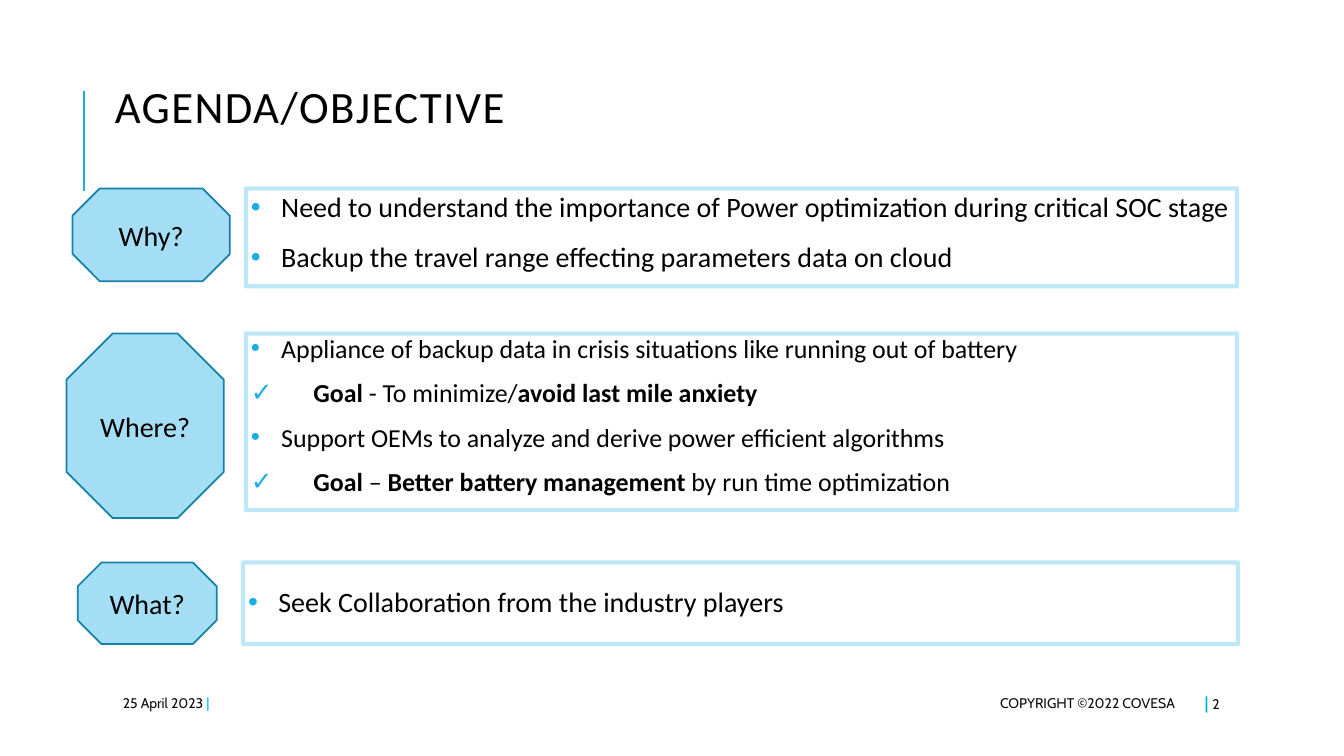
from lxml import etree
from pptx import Presentation
from pptx.dml.color import RGBColor
from pptx.enum.shapes import MSO_CONNECTOR, MSO_SHAPE
from pptx.enum.text import MSO_ANCHOR, PP_ALIGN
from pptx.oxml.ns import qn
from pptx.util import Inches, Pt

RECT, OCTAGON = MSO_SHAPE.RECTANGLE, MSO_SHAPE.OCTAGON
STRAIGHT = MSO_CONNECTOR.STRAIGHT
TOP, MIDDLE = MSO_ANCHOR.TOP, MSO_ANCHOR.MIDDLE
LEFT, CENTER, RIGHT = PP_ALIGN.LEFT, PP_ALIGN.CENTER, PP_ALIGN.RIGHT
W, H = Inches(13.33), Inches(7.5)
ACCENT, BLACK, INK = "1CADE4", "000000", "0D0D0D"


def rgb(value):
    """Turn a hex string into a colour."""
    return RGBColor.from_string(value)


def place(x, y, w, h):
    """Turn percentages of the slide into lengths."""
    return (int(W * x / 100), int(H * y / 100),
            int(W * w / 100), int(H * h / 100))


def add_run(p, text, size=20, font="Calibri", color=BLACK, bold=False, spc=0):
    """Append a formatted run to a paragraph."""
    r = p.add_run()
    r.text = text
    r.font.size, r.font.name, r.font.bold = Pt(size), font, bold
    r.font.color.rgb = rgb(color)
    if spc:
        r.font._element.set("spc", str(spc * 100))


def set_frame(tf, anchor=MIDDLE, inset=0.1):
    """Set wrapping, anchor and margins of a text frame."""
    tf.word_wrap, tf.vertical_anchor = True, anchor
    tf.margin_left = tf.margin_right = Inches(inset)
    tf.margin_top = tf.margin_bottom = Inches(0.05)


def add_label(s, box, align=LEFT):
    """Add a text box and return its paragraph."""
    tf = s.shapes.add_textbox(*place(*box)).text_frame
    set_frame(tf)
    p = tf.paragraphs[0]
    p.alignment = align
    return p


def add_outline(s, kind, box, color, width):
    """Add an unfilled, outlined shape without shadow."""
    sp = s.shapes.add_shape(kind, *place(*box))
    sp.shadow.inherit = False
    sp.fill.background()
    sp.line.color.rgb, sp.line.width = rgb(color), Pt(width)
    return sp


def set_bullet(p, char, indent):
    """Give a paragraph a hanging accent-coloured bullet."""
    pPr = p._p.get_or_add_pPr()
    pPr.set("marL", str(Inches(indent)))
    pPr.set("indent", str(-Inches(indent)))
    color = etree.SubElement(pPr, qn("a:buClr"))
    etree.SubElement(color, qn("a:srgbClr"), val=ACCENT)
    etree.SubElement(pPr, qn("a:buFont"), typeface="Arial")
    etree.SubElement(pPr, qn("a:buChar"), char=char)


def title(s, box):
    """Draw the heading with the accent rule at its left."""
    x, y, w, h = box
    left, top, _, height = place(x - 1.57, y + 3.87, 0, 13.33)
    rule = s.shapes.add_connector(STRAIGHT, left, top + height, left, top)
    rule.line.color.rgb, rule.line.width = rgb(ACCENT), Pt(1.5)
    etree.SubElement(rule._element.spPr, qn("a:effectLst"))
    p = add_label(s, box)
    p.line_spacing = 0.8
    add_run(p, "AGENDA/OBJECTIVE", size=32, spc=1)


def badge(s, box, text):
    """Draw an octagon holding the question of a row."""
    sp = add_outline(s, OCTAGON, box, "1580A9", 1.25)
    sp.fill.solid()
    sp.fill.fore_color.rgb = rgb("A4DEF4")
    set_frame(sp.text_frame)
    p = sp.text_frame.paragraphs[0]
    p.alignment = CENTER
    add_run(p, text)


def panel(s, box, items, size, spacing, anchor):
    """Draw a pale frame with bulleted answers."""
    sp = add_outline(s, RECT, box, ACCENT, 3)
    for clr in sp.line._ln.iter(qn("a:srgbClr")):
        etree.SubElement(clr, qn("a:alpha"), val="27000")
    tf = sp.text_frame
    set_frame(tf, anchor, 0.05)
    for i, (char, indent, runs) in enumerate(items):
        p = tf.add_paragraph() if i else tf.paragraphs[0]
        p.alignment, p.line_spacing = LEFT, spacing
        p.space_before, p.space_after = Pt(12 if i else 0), Pt(2)
        set_bullet(p, char, indent)
        for text, bold in runs:
            add_run(p, text, size=size, bold=bold)


def agenda_row(s, box, question, items, badge_size, panel_x,
               size=20, spacing=0.9, anchor=TOP):
    """Draw a question badge and its answer panel inside a box."""
    x, y, w, h = box
    panel(s, (x + panel_x, y, w - panel_x, h), items, size, spacing, anchor)
    badge(s, (x, y, *badge_size), question)


def footer(s, box):
    """Draw date, copyright and page number along the bottom."""
    x, y, w, h = box
    small = {"size": 10, "font": "Cabin"}
    p = add_label(s, (x, y, 17.7, h))
    add_run(p, "25 April 2023 ", color=INK, **small)
    add_run(p, "|", color="00B0F0", **small)
    p = add_label(s, (x + 31.36, y, 48.39, h), RIGHT)
    add_run(p, "COPYRIGHT ©2022 COVESA", color=INK, **small)
    p = add_label(s, (x + w - 7.95, y, 7.95, h))
    add_run(p, "| ", size=12, font="Cabin", color="00B1C3", bold=True)
    add_run(p, "2", color=INK, **small)


def point(*runs):
    """Describe a bulleted line."""
    return "•", 0.3, runs


def goal(*runs):
    """Describe a ticked goal line."""
    return "✓", 0.62, (("Goal", True), *runs)


def main():
    """Build the agenda slide."""
    prs = Presentation()
    prs.slide_width, prs.slide_height = W, H
    s = prs.slides.add_slide(prs.slide_layouts[6])
    title(s, (7.8, 8.13, 79.74, 13.07))
    why = [
        point(("Need to understand the importance of Power optimization "
               "during critical SOC stage", False)),
        point(("Backup the travel range effecting parameters data on cloud",
               False)),
    ]
    where = [
        point(("Appliance of backup data in crisis situations like running "
               "out of battery", False)),
        goal((" - To minimize/", False), ("avoid last mile anxiety", True)),
        point(("Support OEMs to analyze and derive power efficient algorithms",
               False)),
        goal((" – ", False), ("Better battery management ", True),
             ("by run time optimization", False)),
    ]
    what = [point(("Seek Collaboration from the industry players", False))]
    agenda_row(s, (5.4, 24.93, 86.65, 12.93), "Why?", why, (11.7, 12.27), 12.9)
    agenda_row(s, (4.95, 44.13, 87.1, 23.33), "Where?", where, (11.7, 24.4),
               13.35, size=18.5, spacing=0.8)
    agenda_row(s, (5.78, 74.4, 86.34, 10.8), "What?", what, (10.35, 10.8),
               12.3, anchor=MIDDLE)
    footer(s, (8.4, 90.93, 88.45, 4))
    prs.save("out.pptx")


if __name__ == "__main__":
    main()
